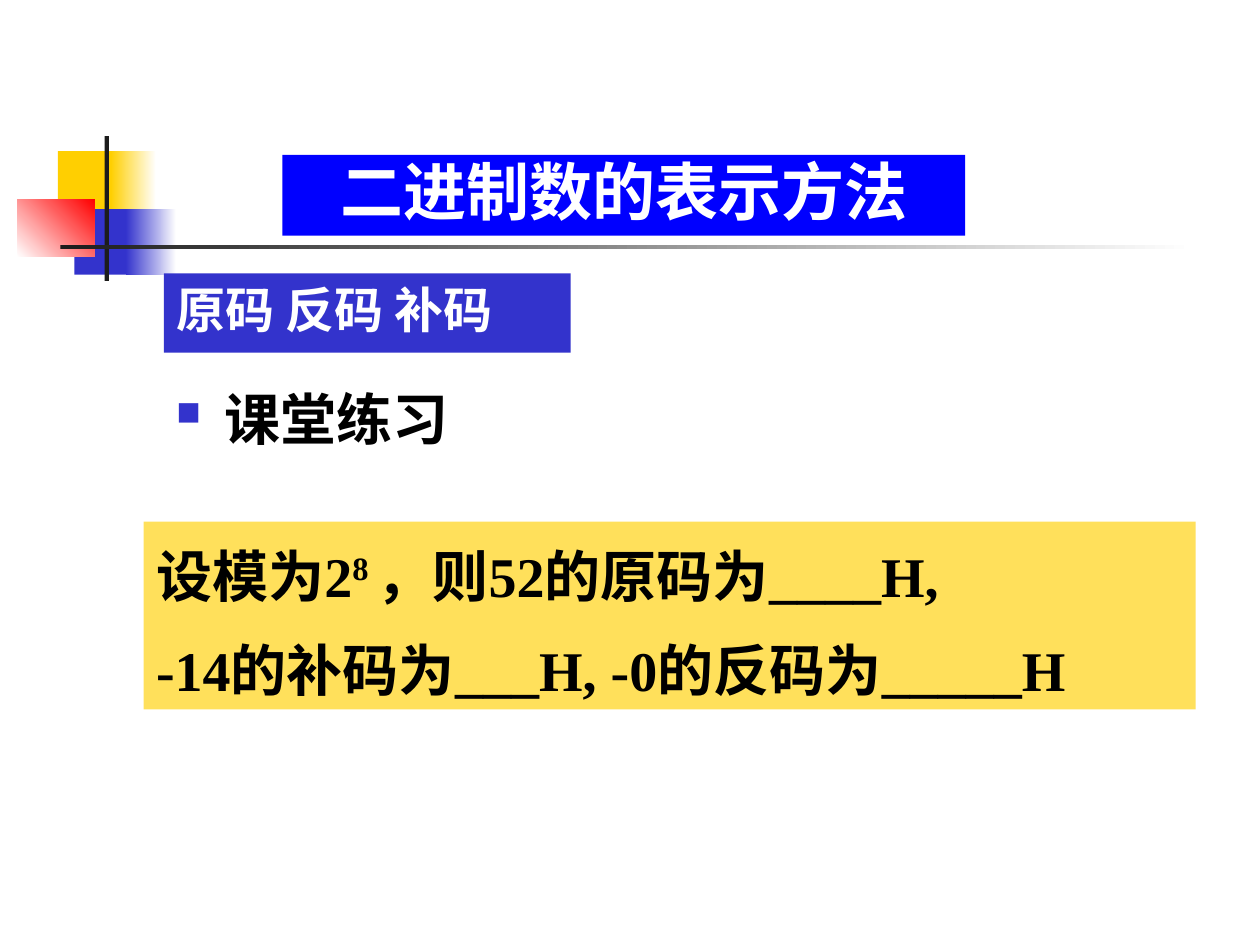
from lxml import etree
from pptx import Presentation
from pptx.dml.color import RGBColor
from pptx.enum.shapes import MSO_SHAPE
from pptx.enum.text import MSO_ANCHOR, PP_ALIGN
from pptx.oxml.ns import qn
from pptx.util import Inches, Pt

RECTANGLE = MSO_SHAPE.RECTANGLE
TOP = MSO_ANCHOR.TOP
LEFT, CENTER = PP_ALIGN.LEFT, PP_ALIGN.CENTER

WHITE = RGBColor(0xFF, 0xFF, 0xFF)
BLACK = RGBColor(0x00, 0x00, 0x00)
CHARCOAL = RGBColor(0x1C, 0x1C, 0x1C)
GOLD = RGBColor(0xFF, 0xCF, 0x01)
INDIGO = RGBColor(0x33, 0x33, 0xCC)
RED = RGBColor(0xFF, 0x00, 0x00)
BLUE = RGBColor(0x00, 0x00, 0xFF)
YELLOW = RGBColor(0xFF, 0xE0, 0x5B)

WIDTH, HEIGHT = 10, 7.5
HANGING = Inches(0.38)
SERIF = "Times New Roman"


def share(left, top, width, height):
    """Turn percentages of the slide's size into lengths."""
    return [Inches(part * size / 100) for part, size in
            zip((left, top, width, height), (WIDTH, HEIGHT) * 2)]


def add_block(page, area, *colors, angle=0):
    """Add a rectangle with one plain colour, or a gradient between two."""
    block = page.shapes.add_shape(RECTANGLE, *share(*area))
    block.shadow.inherit = False
    block.line.fill.background()
    if len(colors) == 1:
        block.fill.solid()
        block.fill.fore_color.rgb = colors[0]
    else:
        block.fill.gradient()
        block.fill.gradient_angle = angle
        for stop, color in zip(block.fill.gradient_stops, colors):
            stop.color.rgb = color
    return block


def add_bullet(para):
    properties = para._p.get_or_add_pPr()
    color = etree.SubElement(properties, qn("a:buClr"))
    etree.SubElement(color, qn("a:srgbClr"), val=str(INDIGO))
    etree.SubElement(properties, qn("a:buSzPct"), val="60000")
    etree.SubElement(properties, qn("a:buChar"), char="■")


def write(box, lines, size, name, color, align=LEFT, spacing=1.0, bullet=False):
    """Fill a box with lines, each a list of (text, baseline) spans."""
    frame = box.text_frame
    frame.word_wrap = True
    frame.vertical_anchor = TOP
    style = {"size": Pt(size), "name": name, "bold": True}
    for index, line in enumerate(lines):
        para = frame.add_paragraph() if index else frame.paragraphs[0]
        if bullet:
            add_bullet(para)
        if align == LEFT:
            properties = para._p.get_or_add_pPr()
            properties.set("marL", str(HANGING))
            properties.set("indent", str(-HANGING))
        layout = {"alignment": align, "line_spacing": spacing,
                  "space_before": Pt(8 if index else 0)}
        for key, value in layout.items():
            setattr(para, key, value)
        for text, baseline in line:
            span = para.add_run()
            span.text = text
            for key, value in style.items():
                setattr(span.font, key, value)
            span.font.color.rgb = color
            if baseline:
                span.font._element.set("baseline", str(baseline * 1000))


def add_ornament(page):
    """Draw the overlapping squares and the crossing rules."""
    add_block(page, (4.6, 16, 4.8, 6.93), GOLD)
    add_block(page, (8.8, 16, 3.6, 6.93), GOLD, WHITE)
    add_block(page, (5.9, 22.13, 4.6, 6.93), INDIGO)
    add_block(page, (10, 22.13, 4, 6.93), INDIGO, WHITE)
    add_block(page, (1.4, 21.07, 6.1, 6.13), WHITE, RED, angle=45)
    add_block(page, (8.3, 14.4, 0.35, 15.33), CHARCOAL)
    add_block(page, (4.8, 25.95, 90, 0.45), CHARCOAL, WHITE)


def main():
    deck = Presentation()
    deck.slide_width, deck.slide_height = Inches(WIDTH), Inches(HEIGHT)
    page = deck.slides.add_slide(deck.slide_layouts[6])
    add_ornament(page)

    topic = add_block(page, (13, 28.93, 32.3, 8.4), INDIGO)
    write(topic, [[("原码 反码 补码", 0)]], 28, "Noto Sans CJK SC", WHITE)

    heading = page.shapes.add_textbox(*share(13, 40, 85, 10))
    write(heading, [[("课堂练习", 0)]], 32, "Roboto", BLACK, bullet=True)

    exercise = add_block(page, (11.4, 55.2, 83.5, 19.87), YELLOW)
    questions = [
        [("设模为2", 0), ("8 ", 30), ("，则52的原码为____H,", 0)],
        [("-14的补码为___H, -0的反码为_____H", 0)],
    ]
    write(exercise, questions, 32, SERIF, BLACK, spacing=1.2)

    title = add_block(page, (22.4, 16.4, 54.2, 8.53), BLUE)
    write(title, [[("二进制数的表示方法", 0)]], 36, SERIF, WHITE,
          align=CENTER, spacing=0.9)

    deck.save("out.pptx")


if __name__ == "__main__":
    main()
